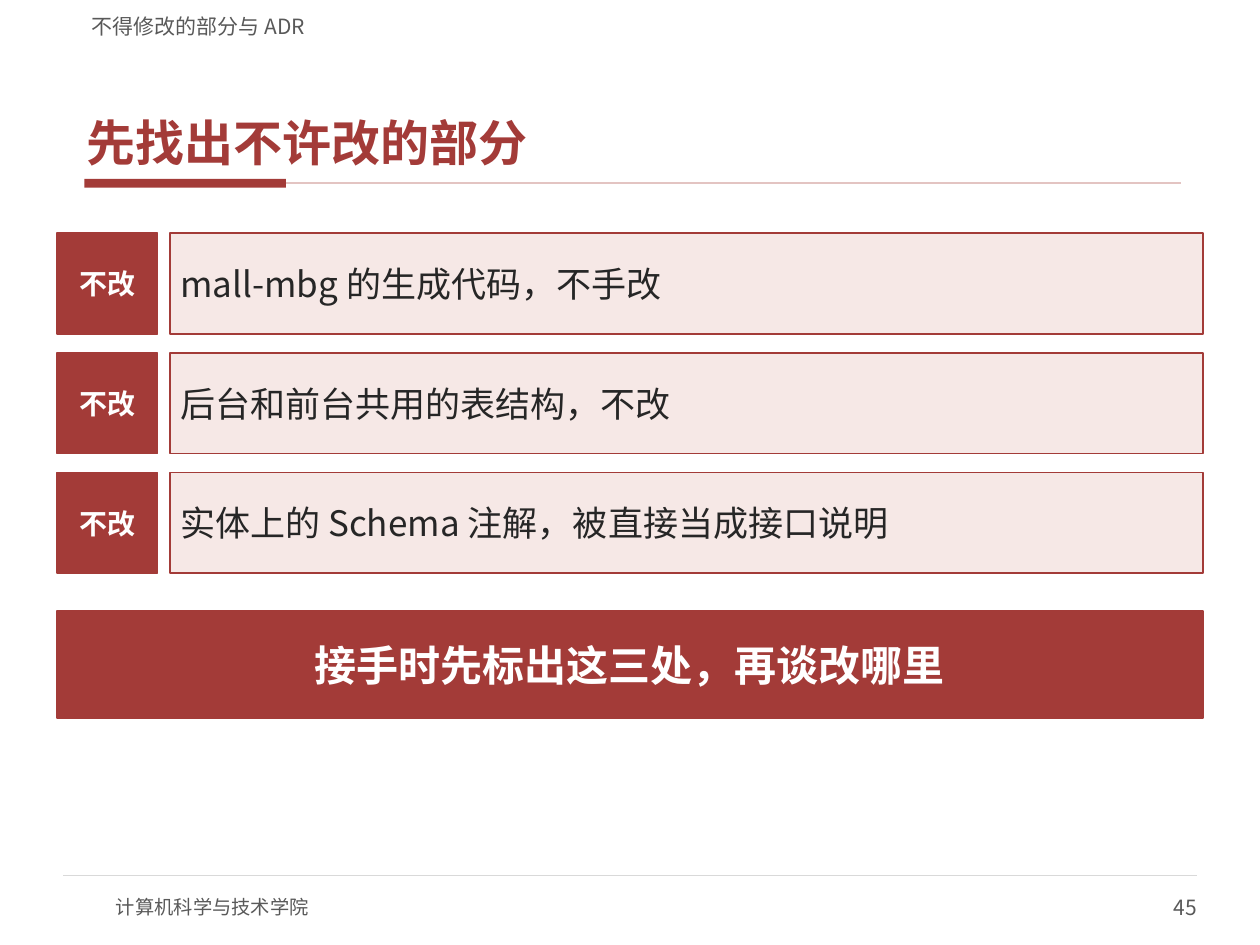
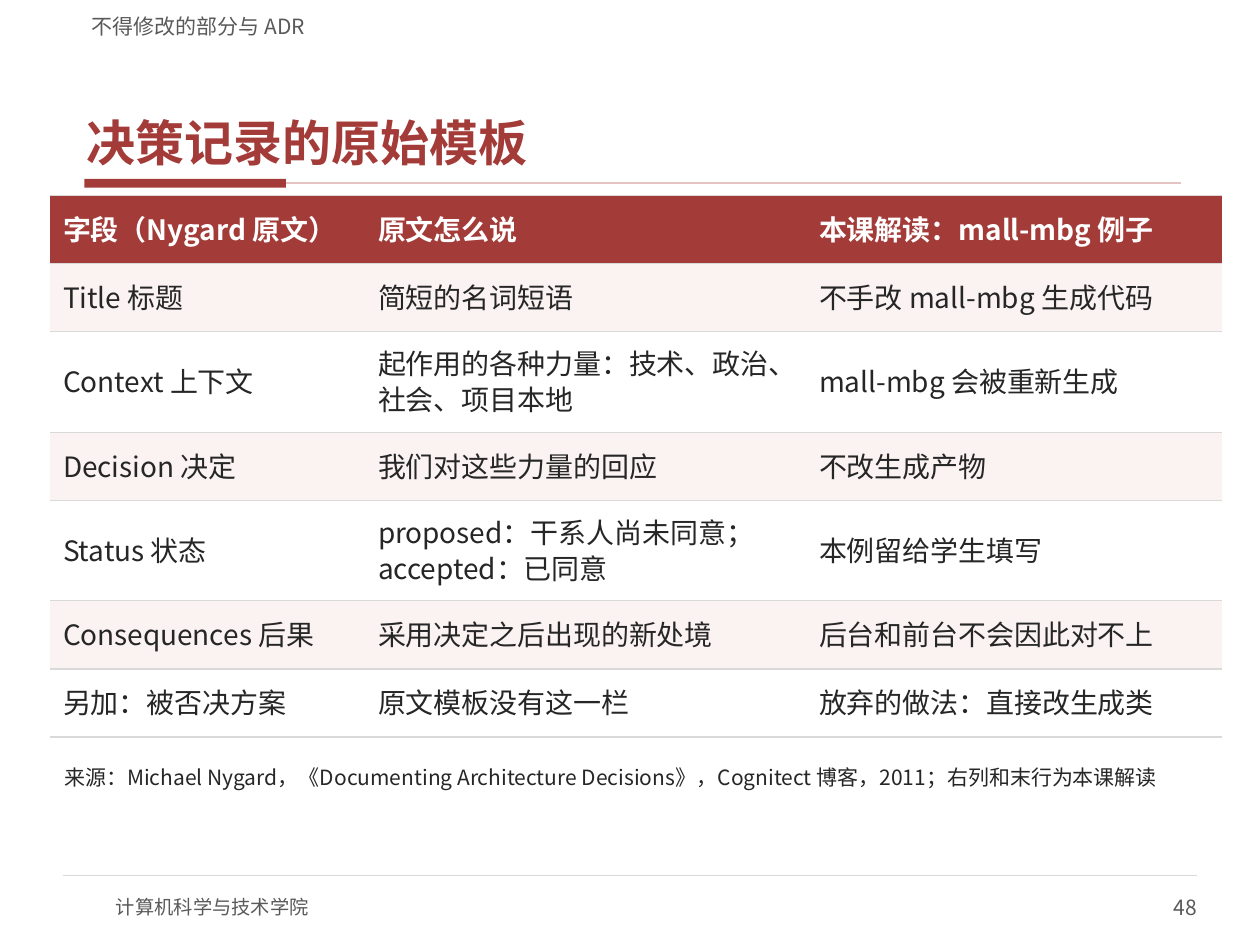
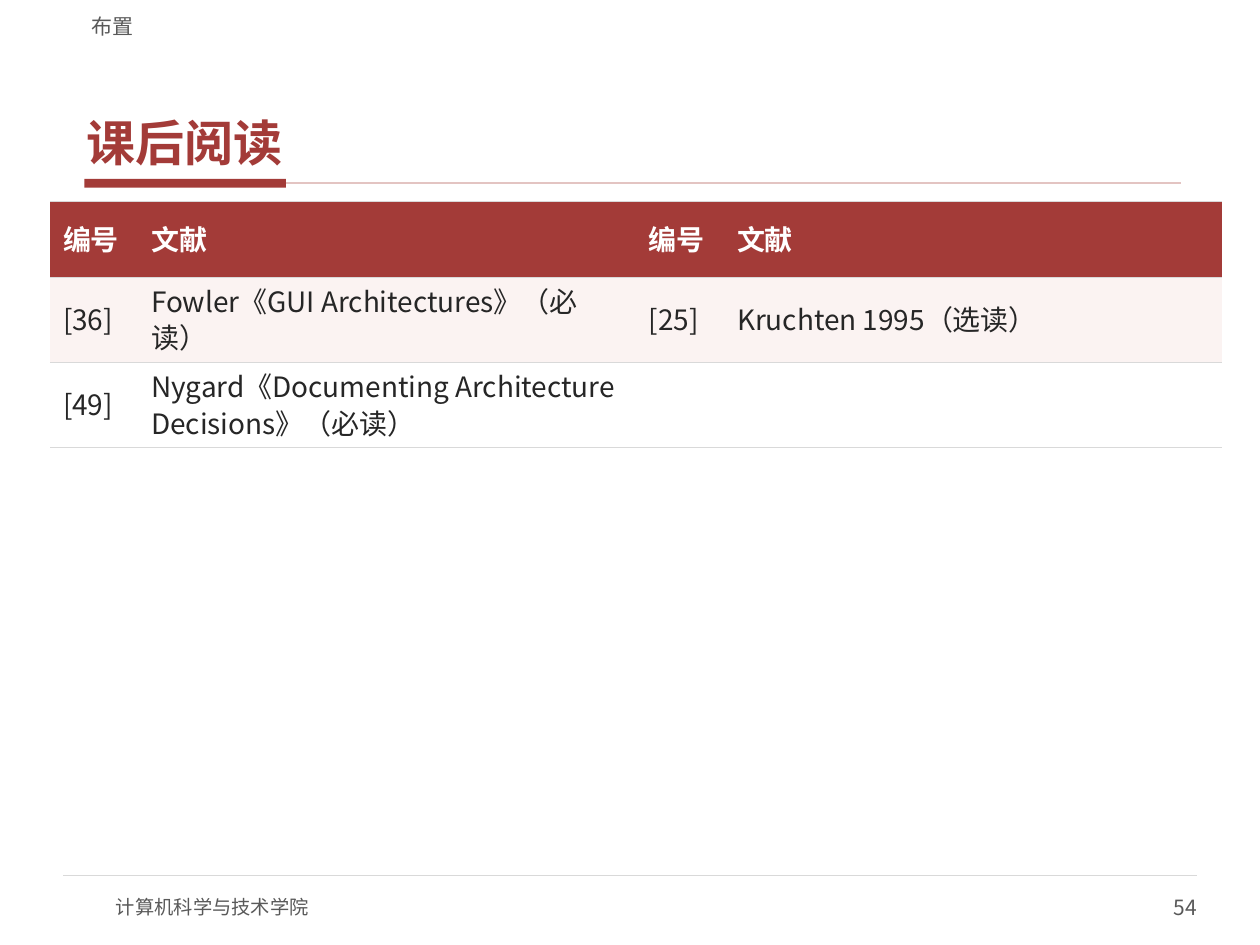
from dataclasses import dataclass

from lxml import etree
from pptx import Presentation
from pptx.dml.color import RGBColor
from pptx.enum import shapes, text
from pptx.oxml import ns
from pptx.util import Inches, Pt


@dataclass(frozen=True)
class Theme:
    font: str = "Noto Sans CJK SC"
    red: str = "A33B38"
    pink: str = "F6E8E6"
    blush: str = "FBF3F2"
    rose: str = "E3C4C2"
    white: str = "FFFFFF"
    ink: str = "262626"
    gray: str = "595959"
    rule: str = "D9D9D9"
    title: int = 28
    lead: int = 24
    body: int = 20
    cell: int = 16
    note: int = 12
    foot: int = 11


T = Theme()
LEFT, CENTER, RIGHT = text.PP_ALIGN.LEFT, text.PP_ALIGN.CENTER, text.PP_ALIGN.RIGHT
TOP, MIDDLE, BOTTOM = (text.MSO_ANCHOR.TOP, text.MSO_ANCHOR.MIDDLE,
                       text.MSO_ANCHOR.BOTTOM)
SNUG = (0.06, 0.02)
SCHOOL = "计算机科学与技术学院"
RULES = "不得修改的部分与 ADR"


def rgb(code):
    return RGBColor.from_string(code)


def write(frame, words, size=T.note, color=T.ink, bold=False, align=LEFT,
          before=0, after=0, lines=None):
    para = frame.paragraphs[0]
    para.alignment = align
    para.space_before, para.space_after = Pt(before), Pt(after)
    para.line_spacing = lines
    run = para.add_run()
    run.text = words
    font = run.font
    font.name, font.size, font.bold = T.font, Pt(size), bold
    font.color.rgb = rgb(color)
    east = etree.SubElement(run._r.get_or_add_rPr(), ns.qn("a:ea"))
    east.set("typeface", T.font)


def fit(frame, anchor, pad):
    frame.word_wrap = True
    frame.auto_size = text.MSO_AUTO_SIZE.NONE
    frame.vertical_anchor = anchor
    frame.margin_left = frame.margin_right = Inches(pad[0])
    frame.margin_top = frame.margin_bottom = Inches(pad[1])


def label(slide, box, words, anchor=MIDDLE, pad=(0, 0), **style):
    shape = slide.shapes.add_textbox(*map(Inches, box))
    fit(shape.text_frame, anchor, pad)
    write(shape.text_frame, words, **style)


def block(slide, box, fill, edge=None, words="", pad=(0.08, 0.04), **style):
    shape = slide.shapes.add_shape(shapes.MSO_SHAPE.RECTANGLE, *map(Inches, box))
    shape.shadow.inherit = False
    shape.fill.solid()
    shape.fill.fore_color.rgb = rgb(fill)
    if edge:
        shape.line.color.rgb, shape.line.width = rgb(edge), Pt(1)
    else:
        shape.line.fill.background()
    if words:
        fit(shape.text_frame, MIDDLE, pad)
        write(shape.text_frame, words, **style)
    return shape


def rule(slide, left, right, y, color, width):
    line = slide.shapes.add_connector(
        shapes.MSO_CONNECTOR.STRAIGHT, *map(Inches, (left, y, right, y)))
    line.line.color.rgb, line.line.width = rgb(color), Pt(width)
    etree.SubElement(line._element.spPr, ns.qn("a:effectLst"))
    return line


def start(deck, title, section, page):
    """Add a slide with its title, section label, rules and footer."""
    slide = deck.slides.add_slide(deck.slide_layouts[5])
    head = slide.shapes.title
    head.left, head.top, head.width, head.height = map(
        Inches, (0.63, 0.33, 8.75, 1.05))
    fit(head.text_frame, BOTTOM, SNUG)
    write(head.text_frame, title, size=T.title, color=T.red, bold=True, after=2)
    bar = block(slide, (0.67, 1.42, 1.6, 0.07), T.red)
    rule(slide, 2.27, 9.37, 1.455, T.rose, 1).begin_connect(bar, 3)
    rule(slide, 0.5, 9.5, 6.95, T.rule, 0.75)
    label(slide, (0.92, 7, 4, 0.4), SCHOOL, size=T.foot, color=T.gray)
    label(slide, (7.5, 7, 2, 0.4), str(page), color=T.gray, align=RIGHT)
    label(slide, (0.63, 0.04, 8.75, 0.27), section, anchor=BOTTOM,
          pad=(0.1, 0), color=T.gray)
    return slide


def limits(slide, box, items, tag):
    """Stack tagged bars, evenly spaced, inside the box."""
    left, top, width, height = box
    side, gap = 0.8, 0.1
    step = (height - side) / (len(items) - 1)
    for i, item in enumerate(items):
        y = top + i * step
        block(slide, (left, y, side, side), T.red, T.red, tag, pad=(0, 0),
              size=T.cell, color=T.white, bold=True, align=CENTER)
        block(slide, (left + side + gap, y, width - side - gap, side),
              T.pink, T.red, item, size=T.body)


def edge(cell):
    """Draw thin rules above and below a cell and none at its sides."""
    props = cell._tc.get_or_add_tcPr()
    for i, name in enumerate(("lnL", "lnR", "lnT", "lnB")):
        line = etree.Element(ns.qn(f"a:{name}"))
        if name in ("lnL", "lnR"):
            etree.SubElement(line, ns.qn("a:noFill"))
        else:
            line.set("w", str(Pt(0.75)))
            fill = etree.SubElement(line, ns.qn("a:solidFill"))
            etree.SubElement(fill, ns.qn("a:srgbClr")).set("val", T.rule)
        props.insert(i, line)


def grid(slide, left, top, cols, highs, rows):
    box = (left, top, sum(cols), sum(highs))
    table = slide.shapes.add_table(len(rows), len(cols), *map(Inches, box)).table
    table.horz_banding = False
    for col, width in zip(table.columns, cols):
        col.width = Inches(width)
    for r, (row, high) in enumerate(zip(rows, highs)):
        table.rows[r].height = Inches(high)
        head = r == 0
        fill = T.red if head else T.blush if r % 2 else T.white
        for c, words in enumerate(row):
            cell = table.cell(r, c)
            cell.vertical_anchor = MIDDLE
            cell.fill.solid()
            cell.fill.fore_color.rgb = rgb(fill)
            edge(cell)
            if words:
                write(cell.text_frame, words, size=T.cell, bold=head,
                      color=T.white if head else T.ink,
                      before=6, after=2, lines=0.9)


def fixed(deck):
    slide = start(deck, "先找出不许改的部分", RULES, 45)
    limits(slide, (0.45, 1.85, 9.1, 2.7), [
        "mall-mbg 的生成代码，不手改",
        "后台和前台共用的表结构，不改",
        "实体上的 Schema 注解，被直接当成接口说明",
    ], "不改")
    block(slide, (0.45, 4.85, 9.1, 0.85), T.red, T.red,
          "接手时先标出这三处，再谈改哪里", size=T.lead, color=T.white,
          bold=True, align=CENTER)


def record(deck):
    slide = start(deck, "决策记录的原始模板", RULES, 48)
    one, two = 0.54, 0.8
    grid(slide, 0.4, 1.55, (2.5, 3.5, 3.3), (one, one, two, one, two, one, one), [
        ("字段（Nygard 原文）", "原文怎么说", "本课解读：mall-mbg 例子"),
        ("Title 标题", "简短的名词短语", "不手改 mall-mbg 生成代码"),
        ("Context 上下文", "起作用的各种力量：技术、政治、社会、项目本地",
         "mall-mbg 会被重新生成"),
        ("Decision 决定", "我们对这些力量的回应", "不改生成产物"),
        ("Status 状态", "proposed：干系人尚未同意；accepted：已同意",
         "本例留给学生填写"),
        ("Consequences 后果", "采用决定之后出现的新处境",
         "后台和前台不会因此对不上"),
        ("另加：被否决方案", "原文模板没有这一栏", "放弃的做法：直接改生成类"),
    ])
    label(slide, (0.45, 6.05, 9.1, 0.3),
          "来源：Michael Nygard，《Documenting Architecture Decisions》，"
          "Cognitect 博客，2011；右列和末行为本课解读",
          anchor=TOP, pad=SNUG, after=2)


def reading(deck):
    slide = start(deck, "课后阅读", "布置", 54)
    grid(slide, 0.4, 1.6, (0.7, 3.95) * 2, (0.6,) * 3, [
        ("编号", "文献") * 2,
        ("[36]", "Fowler《GUI Architectures》（必读）",
         "[25]", "Kruchten 1995（选读）"),
        ("[49]", "Nygard《Documenting Architecture Decisions》（必读）", "", ""),
    ])


def main():
    deck = Presentation()
    deck.slide_width, deck.slide_height = Inches(10), Inches(7.5)
    for build in (fixed, record, reading):
        build(deck)
    deck.save("out.pptx")


if __name__ == "__main__":
    main()
